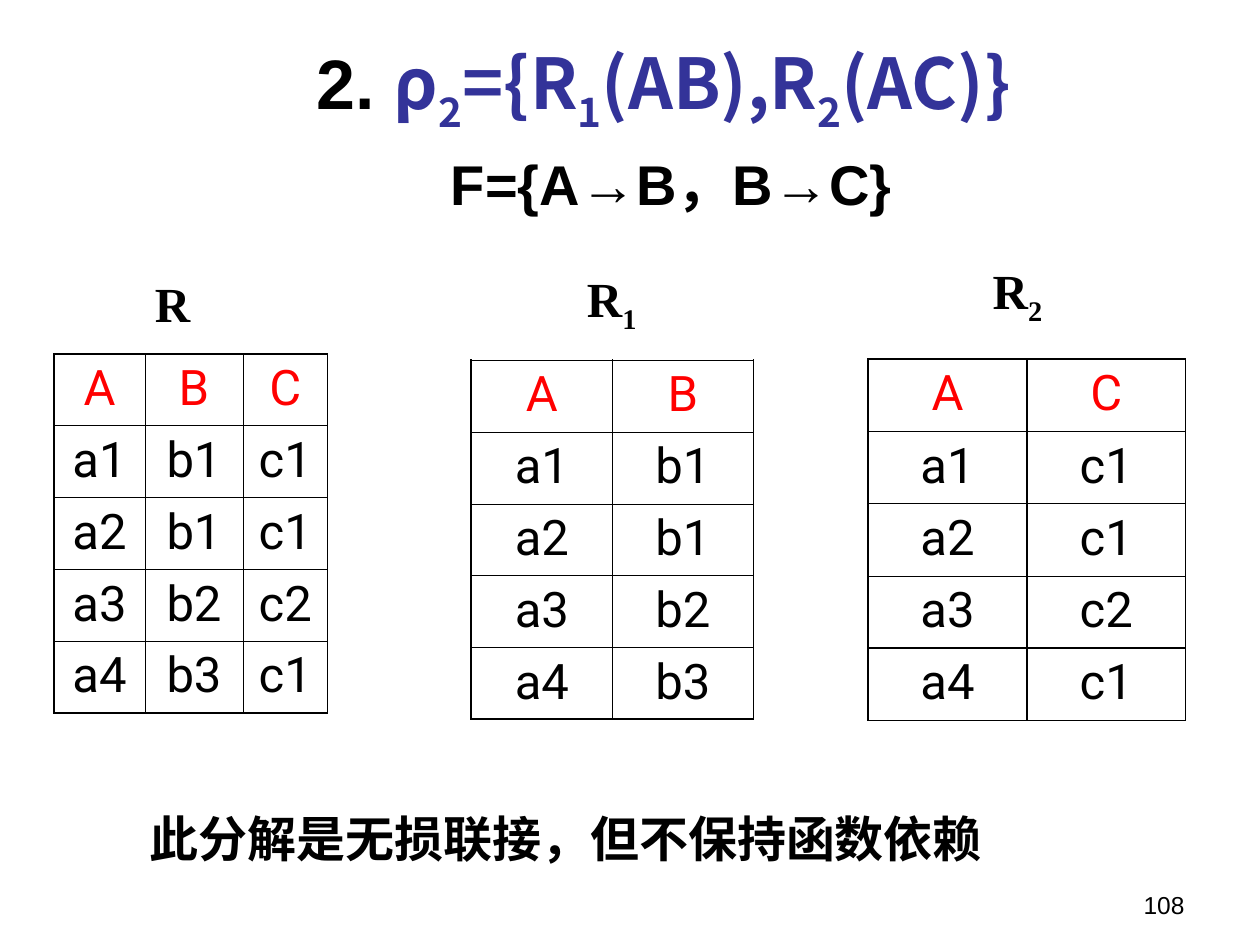
from pptx import Presentation
from pptx.dml.color import RGBColor
from pptx.enum.text import MSO_ANCHOR, MSO_AUTO_SIZE, PP_ALIGN
from pptx.oxml.ns import qn
from pptx.util import Inches, Pt
from lxml.etree import SubElement, Element

COLORS = {"text": "000000", "accent": "333399", "header": "FF0000"}
CJK = "Noto Sans CJK SC"
THIN, THICK = 0.45, 1.08

# Text formats
HEADING = {"name": "Arial", "size": Pt(40), "bold": True, "color": "text"}
SCHEME = {**HEADING, "name": CJK, "color": "accent"}
DEPENDENCY = {**HEADING, "size": Pt(32)}
CONCLUSION = {"name": CJK, "size": Pt(28), "bold": True, "color": "text"}
LABEL = {**CONCLUSION, "name": "Times New Roman"}
CELL = {"name": "Roboto", "size": Pt(28), "bold": False, "color": "text"}
NUMBER = {"name": "Arial", "size": Pt(14), "color": "text"}


def add_run(p, text, fmt, subscript=False):
    r = p.add_run()
    r.text = text
    for key, value in fmt.items():
        if key == "color":
            r.font.color.rgb = RGBColor.from_string(COLORS[value])
        else:
            setattr(r.font, key, value)
    rpr = r._r.get_or_add_rPr()
    SubElement(rpr, qn("a:ea")).set("typeface", CJK)
    if subscript:
        rpr.set("baseline", "-25000")


def place(sp, box):
    sp.left, sp.top, sp.width, sp.height = map(Inches, box)


def add_title(s, box):
    sp = s.shapes.title
    place(sp, box)
    tf = sp.text_frame
    tf.auto_size = MSO_AUTO_SIZE.NONE
    tf.vertical_anchor = MSO_ANCHOR.MIDDLE
    p = tf.paragraphs[0]
    p.alignment = PP_ALIGN.CENTER
    add_run(p, "2. ", HEADING)
    # Every second part is a subscript
    for i, text in enumerate(["ρ", "2", "={R", "1", "(AB),R", "2", "(AC)}"]):
        add_run(p, text, SCHEME, subscript=i % 2 == 1)
    p.add_line_break()
    add_run(p, " ", SCHEME)
    add_run(p, "F={A→B，B→C}", DEPENDENCY)


def add_conclusion(s, box):
    sp = s.placeholders[1]
    place(sp, box)
    tf = sp.text_frame
    tf.auto_size = MSO_AUTO_SIZE.NONE
    tf.margin_top = Inches(0.56)
    p = tf.paragraphs[0]
    p.level = 1
    p.line_spacing = 0.8
    p.space_before = Pt(0)
    ppr = p._p.get_or_add_pPr()
    ppr.set("marL", str(Inches(0.81)))
    ppr.set("indent", str(Inches(-0.31)))
    SubElement(ppr, qn("a:buNone"))
    add_run(p, "此分解是无损联接，但不保持函数依赖", CONCLUSION)


def add_text(s, box, align, anchor, wrap):
    tf = s.shapes.add_textbox(*map(Inches, box)).text_frame
    tf.word_wrap = wrap
    tf.vertical_anchor = anchor
    p = tf.paragraphs[0]
    p.alignment = align
    return p


def add_label(s, box, index):
    p = add_text(s, box, PP_ALIGN.CENTER, MSO_ANCHOR.TOP, False)
    add_run(p, "R", LABEL)
    if index:
        add_run(p, index, LABEL, subscript=True)


def set_borders(cell, widths):
    tcpr = cell._tc.get_or_add_tcPr()
    for i, (side, width) in enumerate(zip("LRTB", widths)):
        ln = Element(qn(f"a:ln{side}"), w=str(Pt(width)))
        fill = SubElement(ln, qn("a:solidFill"))
        SubElement(fill, qn("a:srgbClr")).set("val", COLORS["text"])
        tcpr.insert(i, ln)


def add_relation(s, box, rows, widths, inner, last_rule=THIN):
    """Draw a relation; inner and last_rule are the inner line widths."""
    n, m = len(rows), len(widths)
    table = s.shapes.add_table(n, m, *map(Inches, box)).table
    table.first_row = table.horz_banding = False
    verticals = [THICK] + [inner] * (m - 1) + [THICK]
    horizontals = [THICK] + [THIN] * (n - 2) + [last_rule, THICK]
    for column, width in zip(table.columns, widths):
        column.width = Inches(width)
    for i, row in enumerate(rows):
        table.rows[i].height = Inches(box[3] / n)
        fmt = {**CELL, "color": "text" if i else "header"}
        for j, text in enumerate(row):
            cell = table.cell(i, j)
            cell.fill.background()
            p = cell.text_frame.paragraphs[0]
            p.alignment = PP_ALIGN.CENTER
            add_run(p, text, fmt)
            set_borders(cell, verticals[j:j + 2] + horizontals[i:i + 2])


def main():
    prs = Presentation()
    prs.slide_width, prs.slide_height = Inches(10), Inches(7.5)
    s = prs.slides.add_slide(prs.slide_layouts[1])

    add_title(s, (0.75, 0.23, 9.03, 1.6))
    add_conclusion(s, (0.59, 5.95, 8.9, 1.18))

    # Relation R and its projections R1(AB) and R2(AC)
    r = [("A", "B", "C"), ("a1", "b1", "c1"), ("a2", "b1", "c1"),
         ("a3", "b2", "c2"), ("a4", "b3", "c1")]
    r1 = [(a, b) for a, b, c in r]
    r2 = [(a, c) for a, b, c in r]
    add_relation(s, (0.43, 2.81, 2.17, 2.85), r, (0.72, 0.78, 0.67), THIN)
    add_relation(s, (3.74, 2.86, 2.24, 2.85), r1, (1.12, 1.12), THICK)
    add_relation(s, (6.89, 2.85, 2.52, 2.87), r2, (1.26, 1.26), THICK, THICK)

    # Relation names
    add_label(s, (1.13, 2.12, 0.48, 0.57), "")
    add_label(s, (4.56, 2.08, 0.59, 0.63), "1")
    add_label(s, (7.78, 2.02, 0.59, 0.63), "2")

    # Slide number
    p = add_text(s, (7.17, 6.83, 2.33, 0.52), PP_ALIGN.RIGHT,
                 MSO_ANCHOR.BOTTOM, True)
    add_run(p, "108", NUMBER)

    prs.save("out.pptx")


if __name__ == "__main__":
    main()
